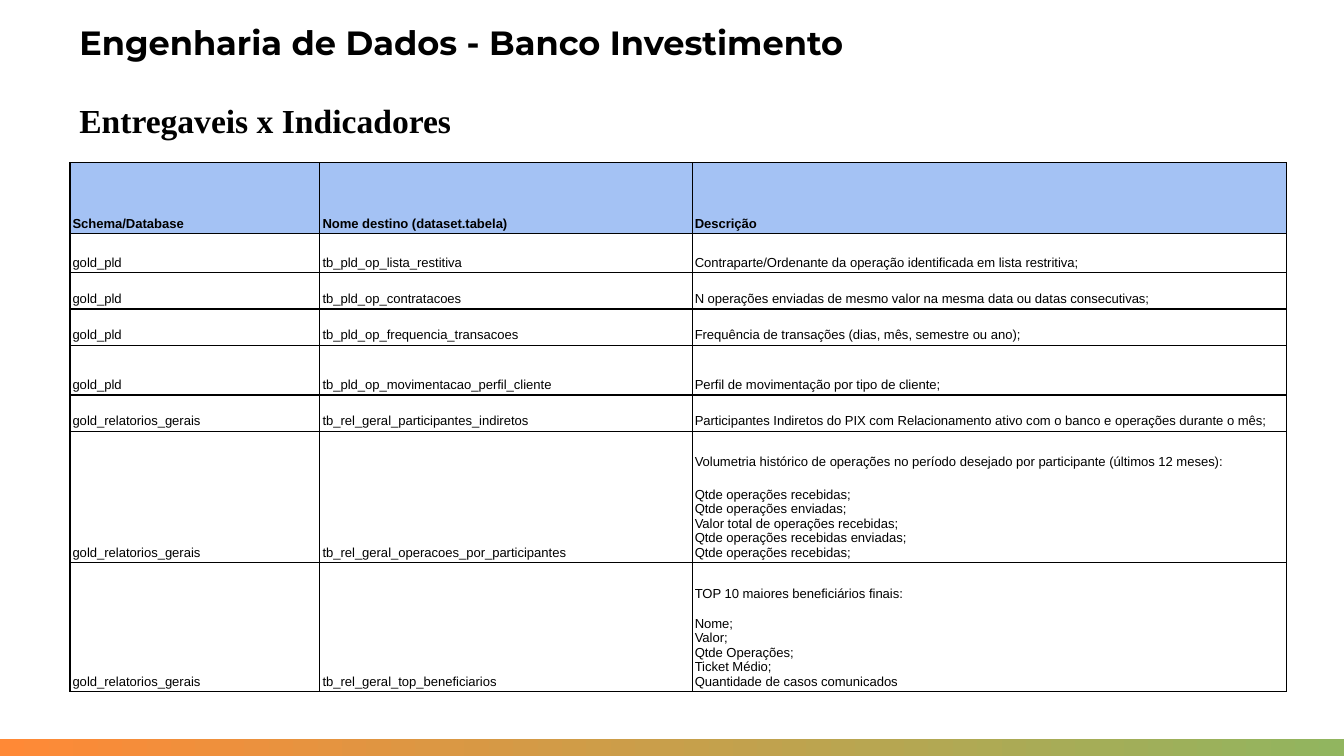
from lxml.etree import SubElement as Sub
from pptx import Presentation
from pptx.dml.color import RGBColor
from pptx.enum.shapes import MSO_SHAPE as Shape
from pptx.enum.text import MSO_ANCHOR as Anchor, PP_ALIGN as Align
from pptx.oxml.ns import qn
from pptx.util import Inches, Pt


def color(code):
    return RGBColor.from_string(code)


def style(par, size, face, bold):
    par.font.size = Pt(size)
    par.font.name = face
    par.font.bold = bold
    par.font.color.rgb = color("000000")


deck = Presentation()
deck.slide_width = Inches(10)
deck.slide_height = Inches(10) * 9 // 16
slide = deck.slides.add_slide(deck.slide_layouts[6])

# Footer band
band = slide.shapes.add_shape(Shape.RECTANGLE, 0, Inches(5.5), Inches(10), Inches(0.13))
band.shadow.inherit = False
band.line.fill.background()
band.fill.gradient()
band.fill.gradient_angle = 0
for stop, code in zip(band.fill.gradient_stops, ("FF8936", "91B55F")):
    stop.color.rgb = color(code)

# Headings: text, font, top, width, height, vertical inset, anchor, line spacing
heads = [
    ("Engenharia de Dados - Banco Investimento", "Montserrat",
     0.2, 6.47, 0.27, 0.04, Anchor.MIDDLE, 0.9),
    ("Entregaveis x Indicadores", "Times New Roman",
     0.63, 8.06, 1.45, 0.07, Anchor.TOP, 1.15),
]
for text, face, top, width, height, inset, anchor, space in heads:
    box = slide.shapes.add_textbox(Inches(0.52), Inches(top), Inches(width), Inches(height))
    frame = box.text_frame
    frame.word_wrap = True
    frame.vertical_anchor = anchor
    frame.margin_left = frame.margin_right = Inches(0.07)
    frame.margin_top = frame.margin_bottom = Inches(inset)
    par = frame.paragraphs[0]
    par.text = text
    par.line_spacing = space
    style(par, 18, face, True)

# Table: height, schema, target name, paragraphs of the description
pld, geral = "gold_pld", "gold_relatorios_gerais"
rows = [
    (0.53, "Schema/Database", "Nome destino (dataset.tabela)", ["Descrição"]),
    (0.29, pld, "tb_pld_op_lista_restitiva",
     ["Contraparte/Ordenante da operação identificada em lista restritiva;"]),
    (0.27, pld, "tb_pld_op_contratacoes",
     ["N operações enviadas de mesmo valor na mesma data ou datas consecutivas;"]),
    (0.27, pld, "tb_pld_op_frequencia_transacoes",
     ["Frequência de transações (dias, mês, semestre ou ano);"]),
    (0.37, pld, "tb_pld_op_movimentacao_perfil_cliente",
     ["Perfil de movimentação por tipo de cliente;"]),
    (0.27, geral, "tb_rel_geral_participantes_indiretos",
     ["Participantes Indiretos do PIX com Relacionamento ativo com o banco "
      "e operações durante o mês;"]),
    (0.98, geral, "tb_rel_geral_operacoes_por_participantes",
     ["Volumetria histórico de operações no período desejado por participante "
      "(últimos 12 meses):",
      "Qtde operações recebidas;\nQtde operações enviadas;\n"
      "Valor total de operações recebidas;\nQtde operações recebidas enviadas;\n"
      "Qtde operações recebidas;"]),
    (0.96, geral, "tb_rel_geral_top_beneficiarios",
     ["TOP 10 maiores beneficiários finais:",
      "Nome;\nValor;\nQtde Operações;\nTicket Médio;\nQuantidade de casos comunicados"]),
]
widths = (1.86, 2.77, 4.42)
grid = slide.shapes.add_table(len(rows), len(widths), Inches(0.52), Inches(1.21),
                              Inches(sum(widths)), Inches(3.94)).table
for col, width in zip(grid.columns, widths):
    col.width = Inches(width)

for r, (height, base, name, about) in enumerate(rows):
    grid.rows[r].height = Inches(height)
    for c, texts in enumerate(([base], [name], about)):
        cell = grid.cell(r, c)
        cell.vertical_anchor = Anchor.BOTTOM
        cell.margin_left = cell.margin_right = Inches(0.02)
        cell.margin_top = cell.margin_bottom = Inches(0.02)
        props = cell._tc.get_or_add_tcPr()
        for side in ("lnL", "lnR", "lnT", "lnB"):
            line = Sub(props, qn(f"a:{side}"), w=str(Pt(0.75)))
            Sub(Sub(line, qn("a:solidFill")), qn("a:srgbClr"), val="000000")
        if r == 0:
            cell.fill.solid()
            cell.fill.fore_color.rgb = color("A4C2F4")
        else:
            cell.fill.background()
        for i, text in enumerate(texts):
            frame = cell.text_frame
            par = frame.add_paragraph() if i else frame.paragraphs[0]
            par.text = text
            par.alignment = Align.LEFT if "\n" in text else Align.JUSTIFY
            if i:
                par.space_before = Pt(8 if r == len(rows) - 1 else 10)
            style(par, 7, "Arial", r == 0)

deck.save("out.pptx")
